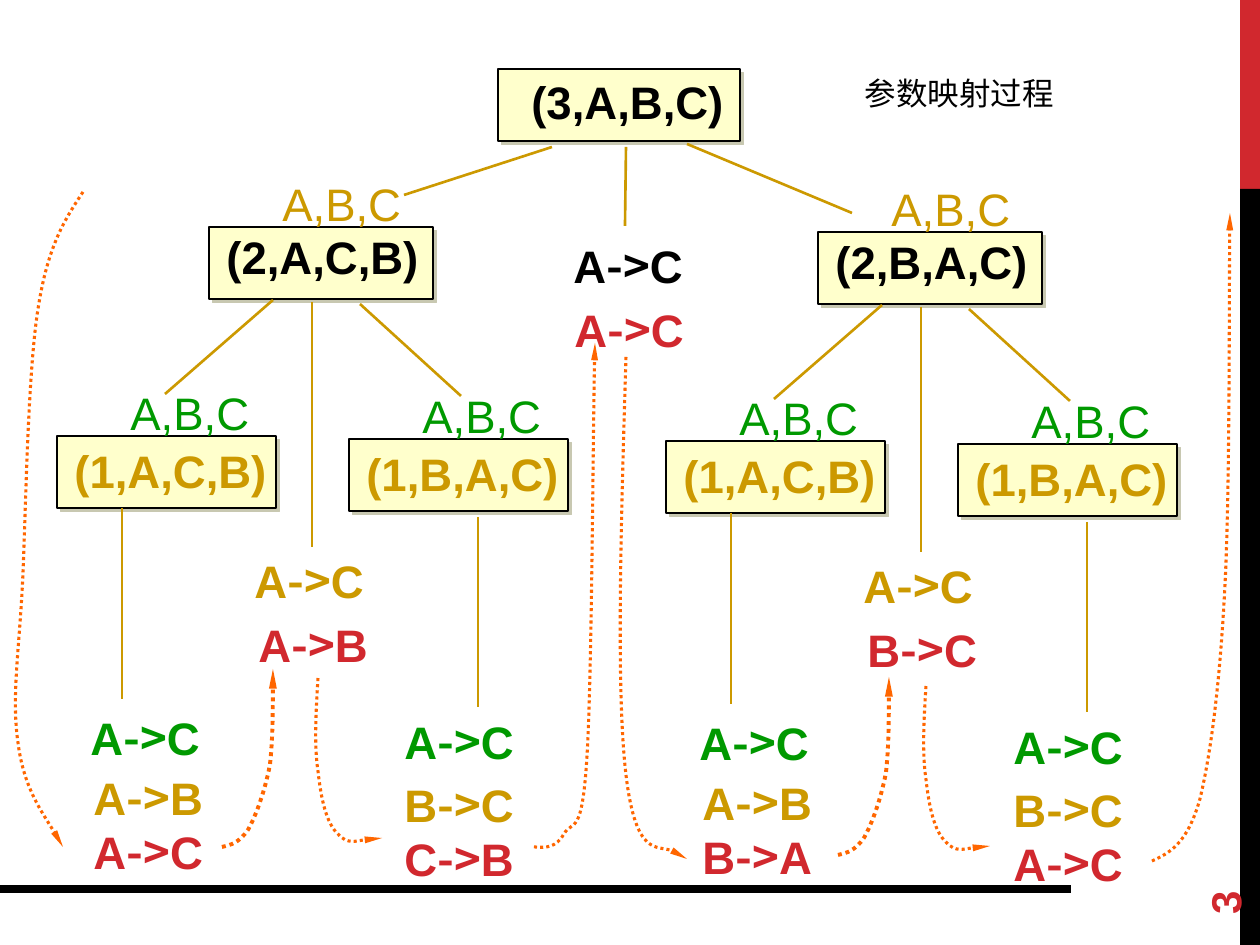
from lxml import etree
from pptx import Presentation
from pptx import util as u
from pptx.dml.color import RGBColor
from pptx.enum import dml, shapes, text
from pptx.oxml import parse_xml
from pptx.oxml.ns import nsdecls, qn

PX = 914400 / 126
INK = {"black": "000000", "red": "D1282E", "gold": "CC9900", "green": "009900",
       "cream": "FFFFCC", "shade": "C8C8B1", "orange": "FF6600"}
SANS, CJK = "Arial", "Noto Sans CJK SC"


def px(*vals):
    return [u.Emu(round(v * PX)) for v in vals]


def rgb(name):
    return RGBColor.from_string(INK[name])


def add_run(para, words, ink, size=26, bold=True, face=SANS):
    run = para.add_run()
    run.text = words
    font = run.font
    font.name, font.size, font.bold = face, u.Pt(size), bold
    font.color.rgb = rgb(ink)


def add_text(slide, x, y, w, h, lines, bold=True, wrap=False):
    """Each line is (words, ink); a move's arrow gets its own run."""
    frame = slide.shapes.add_textbox(*px(x, y, w, h)).text_frame
    frame.word_wrap = wrap
    for i, (words, ink) in enumerate(lines):
        para = frame.paragraphs[0] if i == 0 else frame.add_paragraph()
        para.line_spacing = u.Pt(31)
        head, arrow, tail = words.partition("->")
        add_run(para, head, ink, bold=bold)
        if arrow:
            frame.margin_top = px(11)[0]
            add_run(para, arrow, ink, face=CJK)
            add_run(para, tail, ink)


def add_move(slide, x, y, *lines):
    add_text(slide, x, y, 136, 67 if len(lines) == 1 else 122, lines)


def add_args(slide, x, y, ink):
    add_text(slide, x, y, 145, 67, [("A,B,C", ink)], bold=False)


def add_bar(slide, x, y, w, h, ink):
    bar = slide.shapes.add_shape(shapes.MSO_SHAPE.RECTANGLE, *px(x, y, w, h))
    bar.shadow.inherit = False
    bar.fill.solid()
    bar.fill.fore_color.rgb = rgb(ink)
    bar.line.fill.background()
    return bar


def add_node(slide, x, y, w, words, ink, tx, ty):
    """Call box with a hard shadow, its text at offset (tx, ty)."""
    box = add_bar(slide, x, y, w, 72, "cream")
    box.line.color.rgb = rgb("black")
    box.line.width = u.Pt(0.75)
    fx = box._element.spPr.find(qn("a:effectLst"))
    fx.append(parse_xml(
        f'<a:outerShdw {nsdecls("a")} dist="35921" dir="2700000" algn="ctr" '
        f'rotWithShape="0"><a:srgbClr val="{INK["shade"]}"/></a:outerShdw>'))
    add_text(slide, x + tx, y + ty, 255, 67, [(words, ink)], wrap=True)


def add_edge(slide, x1, y1, x2, y2, ink="gold", width=1.5):
    edge = slide.shapes.add_connector(
        shapes.MSO_CONNECTOR.STRAIGHT, *px(x1, y1, x2, y2))
    edge.line.color.rgb = rgb(ink)
    edge.line.width = u.Pt(width)
    etree.SubElement(edge._element.spPr, qn("a:effectLst"))


def add_curve(slide, pts, dx=0, dy=0, width=1.75):
    """Dotted arrow; after the start, every three points are one Bezier."""
    pts = [(x + dx, y + dy) for x, y in pts]
    pen = slide.shapes.build_freeform(*pts[0], scale=PX)
    pen.add_line_segments(pts[1:], close=False)
    curve = pen.convert_to_shape()
    curve.shadow.inherit = False
    curve.fill.background()
    line = curve.line
    line.color.rgb = rgb("orange")
    line.width = u.Pt(width)
    line.dash_style = dml.MSO_LINE.ROUND_DOT
    etree.SubElement(curve._element.spPr.find(qn("a:ln")), qn("a:tailEnd"),
                     type="triangle", w="sm", len="lg")
    # Turn the straight segments into cubic ones
    steps = list(curve._element.iter(qn("a:lnTo")))
    for i in range(0, len(steps), 3):
        bez = etree.Element(qn("a:cubicBezTo"))
        steps[i].addprevious(bez)
        for step in steps[i:i + 3]:
            bez.append(step[0])
            step.getparent().remove(step)


def add_frame(slide):
    add_bar(slide, 1240, 0, 20, 189, "red")
    add_bar(slide, 1240, 189, 20, 756, "black")
    add_edge(slide, 0, 889, 1071, 889, "black", 4.5)
    # Page number
    box = slide.shapes.add_textbox(*px(1134, 811, 181, 50))
    box.rotation = 270
    box.text_frame.vertical_anchor = text.MSO_ANCHOR.MIDDLE
    add_run(box.text_frame.paragraphs[0], "3", "red", 24)


def add_title(slide, words):
    title = slide.shapes.title
    title.left, title.top, title.width, title.height = px(852, 68, 339, 50)
    frame = title.text_frame
    frame.vertical_anchor = text.MSO_ANCHOR.TOP
    para = frame.paragraphs[0]
    para.alignment = text.PP_ALIGN.LEFT
    add_run(para, words, "black", 18, False)


def add_half(slide, dx, dy, call, mid, left, right):
    """Subtree of a two-disc call, moved by (dx, dy)."""
    # Calls and their parameters
    add_node(slide, 209 + dx, 227 + dy, 224, call, "black", 5, -4)
    add_args(slide, 270 + dx, 170 + dy, "gold")
    for x, y, words in [(57, 436, "(1,A,C,B)"), (349, 439, "(1,B,A,C)")]:
        add_node(slide, x + dx, y + dy, 219, words, "gold", 5, 1)
        add_args(slide, x + 61 + dx, y - 57 + dy, "green")
    # Branches
    for x1, y1, x2, y2 in [(273, 300, 165, 394), (312, 302, 312, 547),
                           (360, 304, 461, 396), (122, 508, 122, 699),
                           (478, 517, 478, 707)]:
        add_edge(slide, x1 + dx, y1 + dy, x2 + dx, y2 + dy)
    # Moves
    add_move(slide, 242 + dx, 542 + dy, ("A->C", "gold"))
    add_move(slide, 246 + dx, 606 + dy, (mid, "red"))
    for x, y, gap, first, last in [(78, 699, 3, "A->B", left),
                                   (392, 703, 0, "B->C", right)]:
        add_move(slide, x + dx, y + dy, ("A->C", "green"))
        add_move(slide, x + gap + dx, y + 63 - gap + dy,
                 (first, "gold"), (last, "red"))


def main():
    prs = Presentation()
    prs.slide_width, prs.slide_height = px(1260, 945)
    slide = prs.slides.add_slide(prs.slide_layouts[5])
    add_frame(slide)
    add_title(slide, "参数映射过程")

    # Root call
    add_node(slide, 498, 69, 242, "(3,A,B,C)", "black", 21, -1)
    add_move(slide, 561, 227, ("A->C", "black"))
    add_move(slide, 562, 291, ("A->C", "red"))
    for ends in [(626, 147, 625, 226), (552, 147, 404, 195), (687, 144, 852, 213)]:
        add_edge(slide, *ends)

    add_half(slide, 0, 0, "(2,A,C,B)", "A->B", "A->C", "C->B")
    add_half(slide, 609, 5, "(2,B,A,C)", "B->C", "B->A", "A->C")

    # Order of the moves
    rise = [(222, 847), (231, 845), (239, 843), (248, 830), (256, 816),
            (265, 791), (270, 765), (273, 738), (273, 685), (273, 669)]
    dip = [(318, 678), (316, 711), (314, 745), (318, 771), (321, 798),
           (326, 823), (338, 834), (348, 845), (374, 838), (382, 838)]
    for dx, dy in [(0, 0), (616, 8)]:
        add_curve(slide, rise, dx, dy, 2.25)
        add_curve(slide, dip, min(dx, 608), dy)
    for pts in [
        [(83, 192), (66, 218), (48, 244), (38, 309), (28, 372), (26, 501), (23, 573),
         (20, 646), (11, 695), (18, 743), (24, 789), (54, 830), (63, 847)],
        [(534, 847), (546, 848), (556, 848), (564, 834), (573, 819),
         (582, 839), (587, 757), (592, 675), (593, 412), (595, 343)],
        [(626, 357), (621, 523), (616, 690), (626, 775),
         (636, 858), (677, 845), (687, 859)],
        [(1152, 861), (1169, 853), (1187, 845), (1200, 799), (1211, 753),
         (1220, 684), (1225, 586), (1230, 489), (1229, 275), (1230, 213)],
    ]:
        add_curve(slide, pts)
    prs.save("out.pptx")


if __name__ == "__main__":
    main()
